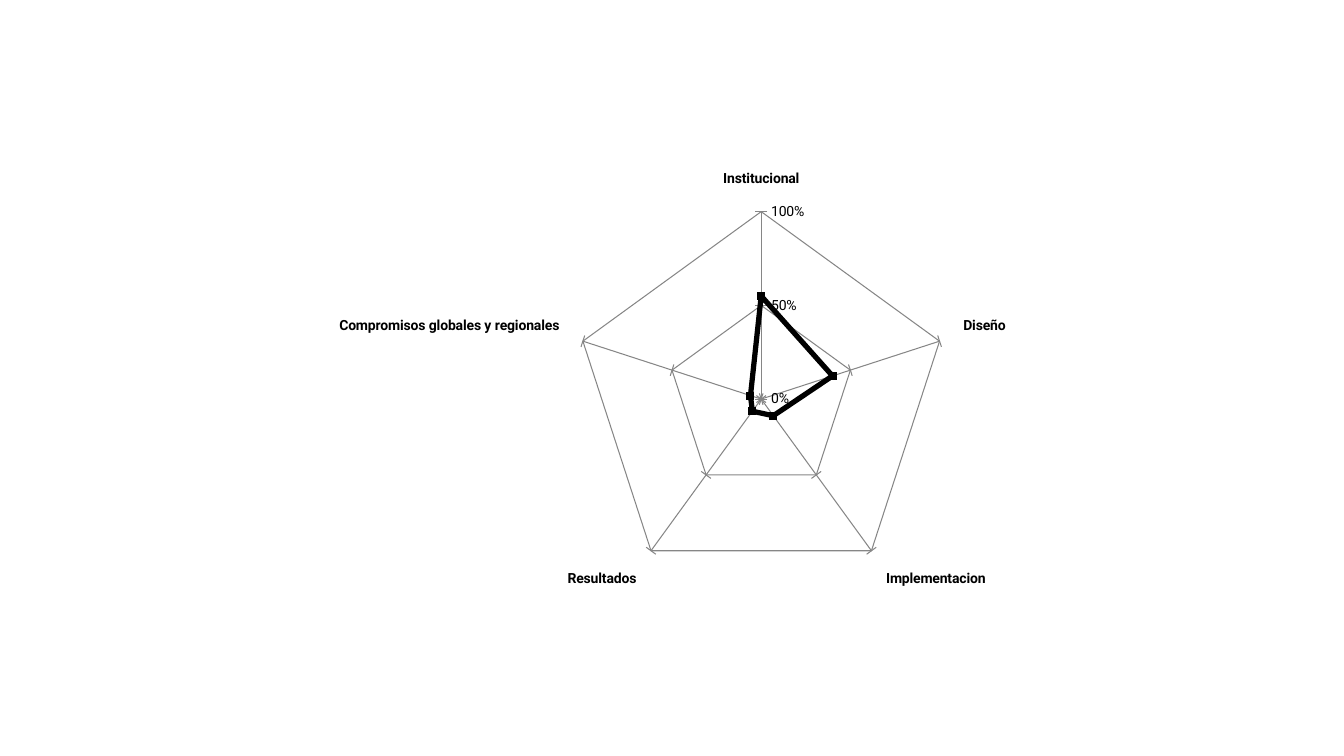
from lxml import etree
from pptx import Presentation
from pptx.chart.data import CategoryChartData
from pptx.dml.color import RGBColor
from pptx.enum import chart as kinds
from pptx.oxml import ns
from pptx.util import Inches, Pt

SCORES = {
    "Institucional": 0.55,
    "Diseño": 0.4,
    "Implementacion": 0.11,
    "Resultados": 0.08,
    "Compromisos globales y regionales": 0.06,
}
FRAME = (3.12, 0.97, 7.09, 5.55)
HUB = (7.55, 3.96)
RADIUS = 1.86
THEME = {"font": "Roboto", "size": 10, "ink": "000000", "grid": "868686",
         "thin": 0.75, "thick": 3.75, "mark": 5}
SCALE = {
    "minimum_scale": 0, "maximum_scale": 1, "major_unit": 0.5,
    "has_major_gridlines": True,
    "major_tick_mark": kinds.XL_TICK_MARK.CROSS,
    "minor_tick_mark": kinds.XL_TICK_MARK.NONE,
}


def assign(item, values):
    """Set each named attribute on an item."""
    for name, value in values.items():
        setattr(item, name, value)


def stroke(line, color, width):
    """Give a line its colour and width in points."""
    line.color.rgb = RGBColor.from_string(color)
    line.width = Pt(width)


def place(chart):
    """Center the radar's inner plot on its hub."""
    left, top, wide, high = FRAME
    spots = {"x": (HUB[0] - RADIUS - left) / wide,
             "y": (HUB[1] - RADIUS - top) / high,
             "w": 2 * RADIUS / wide, "h": 2 * RADIUS / high}
    area = chart.plots[0]._element.getparent()
    for old in area.findall(ns.qn("c:layout")):
        area.remove(old)
    layout = etree.Element(ns.qn("c:layout"))
    area.insert(0, layout)
    manual = etree.SubElement(layout, ns.qn("c:manualLayout"))
    modes = {"layoutTarget": "inner", "xMode": "edge", "yMode": "edge"}
    for tag, value in {**modes, **spots}.items():
        text = value if isinstance(value, str) else f"{value:.4f}"
        etree.SubElement(manual, ns.qn(f"c:{tag}")).set("val", text)


def radar(slide):
    """Add the radar chart of scores."""
    data = CategoryChartData(number_format="0%")
    data.categories = list(SCORES)
    data.add_series("Series 1", list(SCORES.values()))
    chart = slide.shapes.add_chart(
        kinds.XL_CHART_TYPE.RADAR_MARKERS, *map(Inches, FRAME), data).chart
    assign(chart, {"has_legend": False, "has_title": False})
    assign(chart.font, {"name": THEME["font"], "size": Pt(THEME["size"])})
    chart.font.color.rgb = RGBColor.from_string(THEME["ink"])
    place(chart)

    names, scale = chart.category_axis, chart.value_axis
    assign(names, {"has_major_gridlines": True,
                   "major_tick_mark": kinds.XL_TICK_MARK.OUTSIDE})
    assign(names.tick_labels.font, {"bold": True, "size": Pt(THEME["size"])})
    assign(scale, SCALE)
    assign(scale.tick_labels,
           {"number_format": "0%", "number_format_is_linked": False})
    for axis in (names, scale):
        for part in (axis, axis.major_gridlines):
            stroke(part.format.line, THEME["grid"], THEME["thin"])

    plot = chart.plots[0]
    plot.vary_by_categories = False
    score = plot.series[0]
    score.smooth = False
    stroke(score.format.line, THEME["ink"], THEME["thick"])
    assign(score.marker, {"style": kinds.XL_MARKER_STYLE.SQUARE,
                          "size": THEME["mark"]})
    look = score.marker.format
    look.fill.solid()
    look.fill.fore_color.rgb = RGBColor.from_string(THEME["ink"])
    stroke(look.line, THEME["ink"], THEME["thin"])


def main():
    """Build and save the slide."""
    deck = Presentation()
    assign(deck, {"slide_width": Inches(13.33), "slide_height": Inches(7.5)})
    radar(deck.slides.add_slide(deck.slide_layouts[6]))
    deck.save("out.pptx")


if __name__ == "__main__":
    main()
